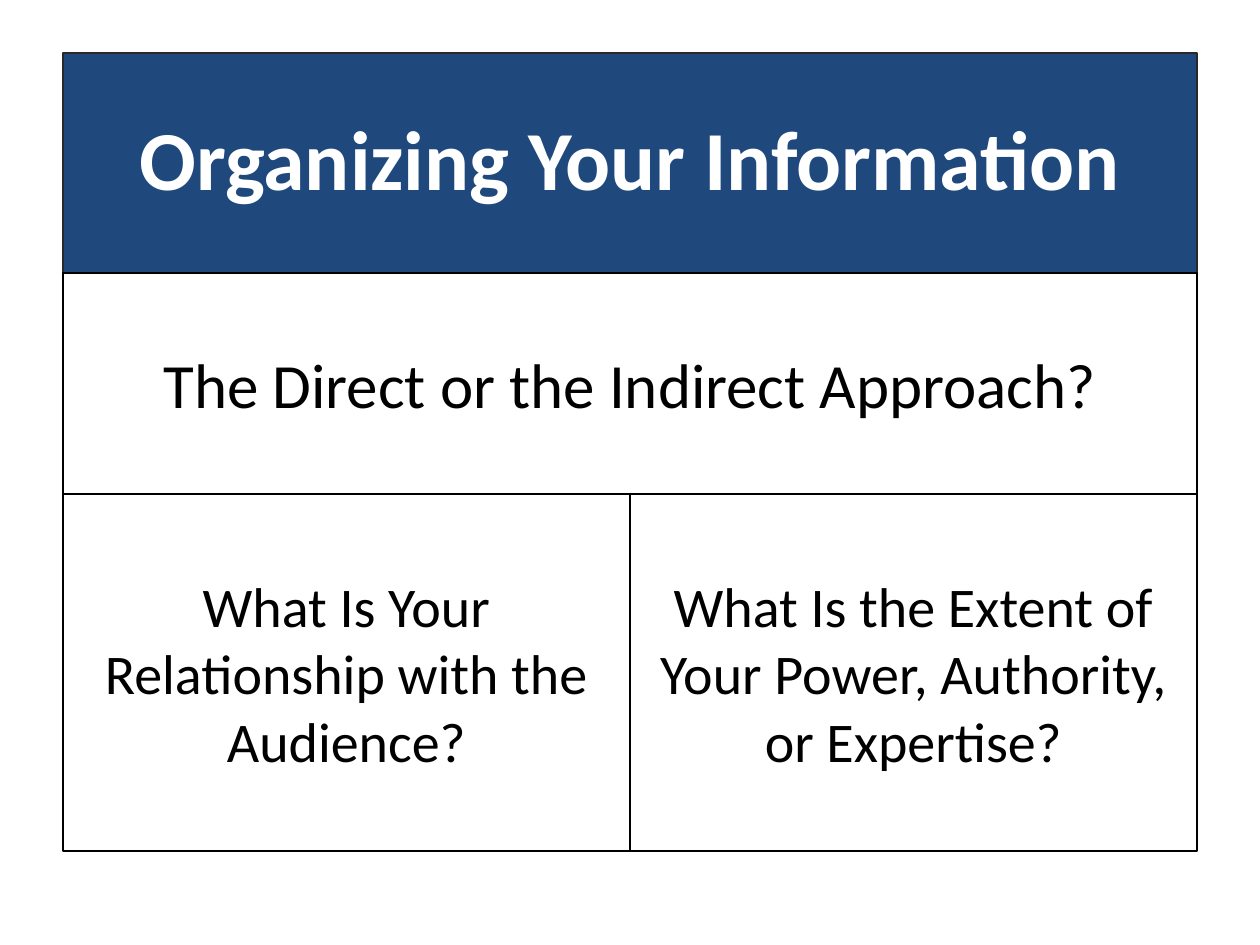
"""Build a slide that stacks a title, a main question and two supporting questions."""

from dataclasses import dataclass

from pptx import Presentation
from pptx.dml.color import RGBColor
from pptx.enum.shapes import MSO_SHAPE
from pptx.enum.text import MSO_ANCHOR, PP_ALIGN
from pptx.util import Pt

TITLE = "Organizing Your Information"
QUESTION_ROWS = [
    (221, 36, ["The Direct or the Indirect Approach?"]),
    (357, 32, [
        "What Is Your Relationship with the Audience?",
        "What Is the Extent of Your Power, Authority, or Expertise?",
    ]),
]

EMU_PER_PX = 914400 // 126
SLIDE_WIDTH, SLIDE_HEIGHT = 1260, 945
LEFT, TOP, WIDTH, TITLE_HEIGHT = 63, 53, 1134, 220


@dataclass(frozen=True)
class Theme:
    font: str = "Calibri"
    title_size: int = 48
    border_width: float = 0.75
    navy: str = "1F497D"
    charcoal: str = "292929"
    white: str = "FFFFFF"
    black: str = "000000"


THEME = Theme()


def px(length):
    return round(length * EMU_PER_PX)


def add_panel(shapes, text, box, *, size, fill=THEME.white, border=THEME.black,
              color=THEME.black, bold=False, line_spacing=None):
    panel = shapes.add_shape(MSO_SHAPE.RECTANGLE, *map(px, box))
    panel.shadow.inherit = False
    panel.fill.solid()
    panel.fill.fore_color.rgb = RGBColor.from_string(fill)
    panel.line.color.rgb = RGBColor.from_string(border)
    panel.line.width = Pt(THEME.border_width)
    frame = panel.text_frame
    frame.word_wrap = True
    frame.vertical_anchor = MSO_ANCHOR.MIDDLE
    paragraph = frame.paragraphs[0]
    paragraph.alignment = PP_ALIGN.CENTER
    paragraph.line_spacing = line_spacing
    run = paragraph.add_run()
    run.text = text
    run.font.name = THEME.font
    run.font.size = Pt(size)
    run.font.bold = bold
    run.font.color.rgb = RGBColor.from_string(color)


def main():
    presentation = Presentation()
    presentation.slide_width = px(SLIDE_WIDTH)
    presentation.slide_height = px(SLIDE_HEIGHT)
    slide = presentation.slides.add_slide(presentation.slide_layouts[6])

    add_panel(slide.shapes, TITLE, (LEFT, TOP, WIDTH, TITLE_HEIGHT),
              size=THEME.title_size, fill=THEME.navy, border=THEME.charcoal,
              color=THEME.white, bold=True, line_spacing=0.9)

    question_group = slide.shapes.add_group_shape()
    row_top = TOP + TITLE_HEIGHT
    for row_height, size, questions in QUESTION_ROWS:
        panel_width = WIDTH // len(questions)
        for column, question in enumerate(questions):
            box = (LEFT + column * panel_width, row_top, panel_width, row_height)
            add_panel(question_group.shapes, question, box, size=size)
        row_top += row_height

    presentation.save("out.pptx")


if __name__ == "__main__":
    main()
